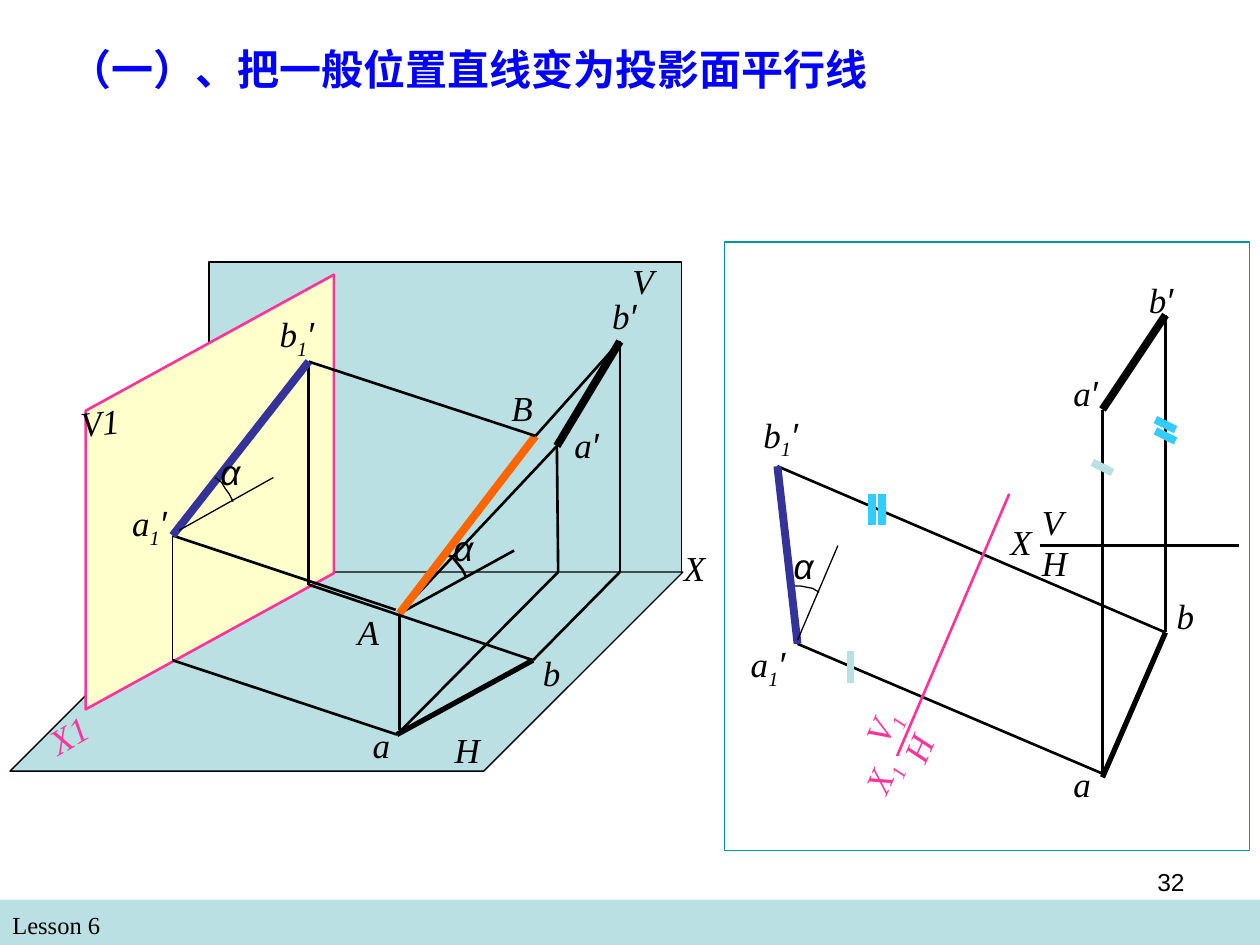
from pptx import Presentation
from pptx.dml.color import RGBColor
from pptx.enum.shapes import MSO_CONNECTOR as CONN, MSO_SHAPE as SHAPE
from pptx.enum.text import MSO_ANCHOR, PP_ALIGN
from pptx.oxml.ns import qn
from pptx.util import Inches, Pt
from lxml import etree

BLACK = RGBColor(0x00, 0x00, 0x00)
TEAL = RGBColor(0xBB, 0xE0, 0xE3)
FRAME = RGBColor(0x00, 0x99, 0x99)
CREAM = RGBColor(0xFF, 0xFF, 0xCC)
PINK = RGBColor(0xFF, 0x33, 0x99)
ORANGE = RGBColor(0xFF, 0x66, 0x00)
NAVY = RGBColor(0x33, 0x33, 0x99)
SKY = RGBColor(0x33, 0xCC, 0xFF)
BLUE = RGBColor(0x00, 0x00, 0xFF)
SERIF, SANS = "Times New Roman", "Arial"
THIN, MEDIUM, BOLD, HEAVY = 0.75, 1.5, 3, 4.5


class Drawing:
    def __init__(self, prs):
        self.s = prs.slides.add_slide(prs.slide_layouts[6])

    def style(self, sp, fill, color, width):
        sp.shadow.inherit = False
        if fill is None:
            sp.fill.background()
        else:
            sp.fill.solid()
            sp.fill.fore_color.rgb = fill
        if color is None:
            sp.line.fill.background()
        else:
            sp.line.color.rgb = color
            sp.line.width = Pt(width)

    def rect(self, x, y, w, h, fill=None, color=None):
        sp = self.s.shapes.add_shape(SHAPE.RECTANGLE, Inches(x), Inches(y), Inches(w), Inches(h))
        self.style(sp, fill, color, THIN)

    def outline(self, points, fill=None, color=BLACK, width=THIN, close=True):
        start, *rest = [(Inches(x), Inches(y)) for x, y in points]
        builder = self.s.shapes.build_freeform(*start, scale=1.0)
        builder.add_line_segments(rest, close=close)
        self.style(builder.convert_to_shape(), fill, color, width)

    def line(self, start, end, width=MEDIUM, color=BLACK):
        ends = [Inches(v) for v in (*start, *end)]
        c = self.s.shapes.add_connector(CONN.STRAIGHT, *ends)
        c.line.color.rgb = color
        c.line.width = Pt(width)
        etree.SubElement(c._element.spPr, qn("a:effectLst"))

    def text(self, x, y, w, h, wrap=True, align=PP_ALIGN.LEFT, rot=0):
        """Add an empty text box and return its paragraph."""
        box = self.s.shapes.add_textbox(Inches(x), Inches(y), Inches(w), Inches(h))
        box.rotation = rot
        tf = box.text_frame
        tf.word_wrap = wrap
        tf.vertical_anchor = MSO_ANCHOR.TOP
        p = tf.paragraphs[0]
        p.alignment = align
        return p

    def run(self, p, text, size, font, color=BLACK, bold=False, italic=False):
        r = p.add_run()
        r.text = text
        f = r.font
        f.size, f.name, f.bold, f.italic = Pt(size), font, bold, italic
        f.color.rgb = color
        return r

    def label(self, x, y, name, w=0.6, color=BLACK, rot=0):
        """Letter label: a '_1' in the name is a subscript, a '′' is set in Arial."""
        letter, _, rest = name.replace("′", "").partition("_")
        p = self.text(x, y, w, 0.48 if rest else 0.44, rot=rot)
        self.run(p, letter, 20, SANS if letter == "α" else SERIF, color, italic=True)
        if rest:
            r = self.run(p, rest, 20, SERIF, color, italic=True)
            r.font._element.set("baseline", "-25000")
        if name.endswith("′"):
            self.run(p, "′", 20, SANS, color, italic=True)


def draw_space_view(d):
    A, B = (3.17, 4.87), (4.25, 3.46)
    a, b = (3.15, 5.83), (4.23, 5.24)
    a_v, b_v = (4.42, 3.54), (4.92, 2.71)
    a_x, b_x = (4.43, 4.54), (4.92, 4.54)
    a1, b1 = (1.37, 4.25), (2.45, 2.87)
    a1_x, b1_x = (1.37, 5.24), (2.45, 4.64)

    d.rect(1.66, 2.08, 3.75, 2.47, TEAL, BLACK)
    d.outline([(1.66, 4.54), (0.08, 6.12), (3.84, 6.12), (5.42, 4.54)], TEAL)
    for start, end in [(b_v, b_x), (a_v, a_x), (b_x, b), (a_x, a),
                       (b_v, B), (a_v, A), (A, (3.17, 5.79)), (A, (4.08, 4.37))]:
        d.line(start, end)
    d.line(a, b, BOLD)
    d.line(b_v, a_v, HEAVY)
    d.outline([(3.52, 4.39), (3.59, 4.42), (3.63, 4.47), (3.67, 4.52), (3.7, 4.58)],
              width=MEDIUM, close=False)
    for x, y, name in [(4.92, 2.01, "V"), (3.51, 5.73, "H"), (5.33, 4.29, "X"),
                       (2.74, 4.8, "A"), (3.96, 3.02, "B"), (4.46, 3.31, "a′"),
                       (4.76, 2.29, "b′"), (3.5, 4.13, "α"), (2.86, 5.69, "a"),
                       (4.21, 5.12, "b")]:
        d.label(x, y, name)
    d.line(B, A, HEAVY, ORANGE)

    d.outline([(0.68, 5.63), (2.65, 4.55), (2.65, 2.18), (0.68, 3.26)], CREAM, PINK, MEDIUM)
    d.label(0.54, 3.12, "V1", w=0.67, rot=354.2)
    d.label(0.27, 5.53, "X1", w=0.83, color=PINK, rot=330.3)
    for start, end in [(b1, b1_x), (B, b1), ((3.14, 4.84), a1), (a, a1_x), (b, b1_x)]:
        d.line(start, end)
    d.line(a1, a1_x, THIN)
    d.line(b1, a1, HEAVY, NAVY)
    d.line((1.42, 4.21), (2.17, 3.79), THIN)
    d.outline([(1.71, 3.79), (1.76, 3.83), (1.79, 3.88), (1.82, 3.92), (1.85, 3.98)],
              close=False)
    for x, y, name in [(0.95, 3.93, "a_1′"), (2.12, 2.43, "b_1′"), (1.65, 3.53, "α")]:
        d.label(x, y, name, w=0.75)


def draw_projection_view(d):
    a, b = (8.75, 6.14), (9.25, 5.02)
    a_v, b_v = (8.75, 3.25), (9.25, 2.5)
    a1, b1 = (6.33, 5.11), (6.17, 3.7)

    d.line(b1, b)
    d.line(a1, a)
    d.line(b1, a1, HEAVY, NAVY)
    d.line((6.33, 5.08), (6.65, 4.33), THIN)
    d.outline([(6.31, 4.65), (6.35, 4.65), (6.4, 4.66), (6.45, 4.67), (6.5, 4.7)],
              close=False)

    d.line((8.01, 3.92), (7.12, 6), color=PINK)
    d.label(6.67, 5.76, "X_1", w=0.83, color=PINK, rot=293.9)
    d.label(6.75, 5.48, "V_1", w=0.57, color=PINK, rot=293.3)
    d.label(7.08, 5.71, "H", w=0.42, color=PINK, rot=293.3)

    d.line((8.25, 4.33), (9.83, 4.33))
    d.line(b_v, b)
    d.line(a_v, a)
    d.line(b, (8.75, 6.17), BOLD)
    d.line(b_v, a_v, HEAVY)
    for x, y, name in [(5.86, 5.05, "a_1′"), (5.96, 3.23, "b_1′"), (6.2, 4.27, "α"),
                       (9.24, 4.67, "b"), (8.42, 6, "a"), (9.02, 2.16, "b′"),
                       (8.42, 2.9, "a′"), (7.92, 4.08, "X"), (8.17, 3.92, "V"),
                       (8.17, 4.25, "H")]:
        d.label(x, y, name, w=0.75)
    d.rect(5.75, 1.92, 4.17, 4.83, color=FRAME)

    for x, y, color in [(6.92, 3.92, SKY), (7, 3.92, SKY), (6.75, 5.17, TEAL)]:
        d.line((x, y), (x, y + 0.25), HEAVY, color)
    for x, y, color in [(8.67, 3.67, TEAL), (9.17, 3.33, SKY), (9.17, 3.42, SKY)]:
        d.line((x, y), (x + 0.16, y + 0.08), HEAVY, color)


def main():
    prs = Presentation()
    prs.slide_width, prs.slide_height = Inches(10), Inches(7.5)
    d = Drawing(prs)
    d.rect(0, 7.14, 10, 0.36, TEAL)
    d.run(d.text(0, 7.17, 4.83, 0.34), "Lesson 6", 14, SERIF)
    draw_space_view(d)
    draw_projection_view(d)
    title = d.text(0.45, 0.3, 6.53, 0.5, wrap=False)
    d.run(title, "（一）、把一般位置直线变为投影面平行线", 24, SANS, BLUE, bold=True)
    number = d.text(7.17, 6.83, 2.33, 0.52, align=PP_ALIGN.RIGHT)
    d.run(number, "32", 14, SANS)
    prs.save("out.pptx")


if __name__ == "__main__":
    main()
